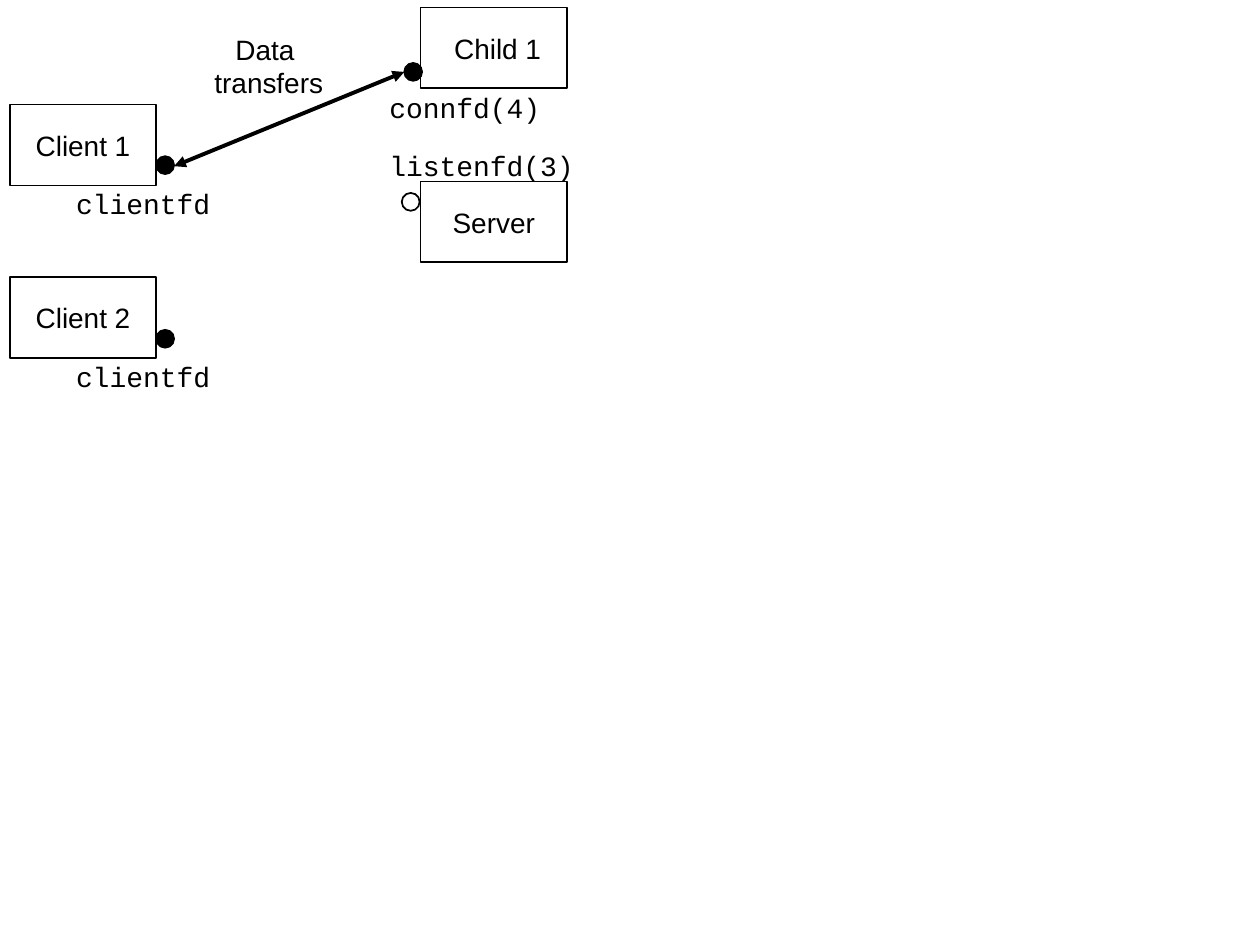
import pptx
import pptx.util
import pptx.dml.color
import pptx.enum.shapes
import pptx.enum.text
import pptx.oxml.ns
import lxml.etree

Cm = pptx.util.Cm
Pt = pptx.util.Pt
SHAPES = pptx.enum.shapes.MSO_SHAPE
BLACK = pptx.dml.color.RGBColor(0, 0, 0)
WHITE = pptx.dml.color.RGBColor(255, 255, 255)

BOX_WIDTH, BOX_HEIGHT = 2.95, 1.63
DOT_SIZE = 0.36
LABEL_HEIGHT = 0.94

presentation = pptx.Presentation()
presentation.slide_width = Cm(25.4)
presentation.slide_height = Cm(19.05)
slide = presentation.slides.add_slide(presentation.slide_layouts[6])


def add_text(text, *, left, top, width, height, font="Arial", size=16, preset=None, fill=None):
    """Add text at a place in cm: a plain text box, or a preset shape with a fill."""
    place = Cm(left), Cm(top), Cm(width), Cm(height)
    if preset is None:
        shape = slide.shapes.add_textbox(*place)
    else:
        shape = slide.shapes.add_shape(preset, *place)
        shape.shadow.inherit = False
        shape.fill.solid()
        shape.fill.fore_color.rgb = fill
        shape.line.color.rgb = BLACK
        shape.line.width = Pt(1)
    frame = shape.text_frame
    frame.word_wrap = False
    frame.vertical_anchor = pptx.enum.text.MSO_ANCHOR.MIDDLE
    frame.text = text
    for paragraph in frame.paragraphs:
        paragraph.alignment = pptx.enum.text.PP_ALIGN.CENTER
        paragraph.font.name = font
        paragraph.font.size = Pt(size)
        paragraph.font.color.rgb = BLACK


# Processes: name, box corner, dot corner, dot fill, descriptor, label corner and width
processes = [
    ("Client 2", 0.2, 5.59, 3.15, 6.65, BLACK, "clientfd", 1.27, 7.11, 3.23),
    ("Client 1", 0.2, 2.11, 3.15, 3.15, BLACK, "clientfd", 1.27, 3.63, 3.23),
    ("Server", 8.48, 3.66, 8.1, 3.89, WHITE, "listenfd(3)", 7.59, 2.87, 4.24),
    (" Child 1", 8.48, 0.15, 8.15, 1.27, BLACK, "connfd(4)", 7.59, 1.7, 3.56),
]
for (name, box_left, box_top, dot_left, dot_top, dot_fill,
     descriptor, label_left, label_top, label_width) in processes:
    add_text(name, left=box_left, top=box_top, width=BOX_WIDTH, height=BOX_HEIGHT,
             preset=SHAPES.RECTANGLE, fill=WHITE)
    add_text("", left=dot_left, top=dot_top, width=DOT_SIZE, height=DOT_SIZE,
             preset=SHAPES.OVAL, fill=dot_fill)
    add_text(descriptor, left=label_left, top=label_top, width=label_width,
             height=LABEL_HEIGHT, font="Courier New")

# Two-way arrow between Client 1 and Child 1
arrow = slide.shapes.add_connector(
    pptx.enum.shapes.MSO_CONNECTOR.STRAIGHT, Cm(3.51), Cm(3.35), Cm(8.15), Cm(1.45))
arrow.line.color.rgb = BLACK
arrow.line.width = Pt(2.25)
line_element = arrow.line._get_or_add_ln()
for end in ("a:headEnd", "a:tailEnd"):
    lxml.etree.SubElement(line_element, pptx.oxml.ns.qn(end), type="triangle")
lxml.etree.SubElement(arrow._element.spPr, pptx.oxml.ns.qn("a:effectLst"))

# Arrow caption
add_text("Data \ntransfers", left=4.06, top=0.51, width=2.72, height=1.63)

presentation.save("out.pptx")
